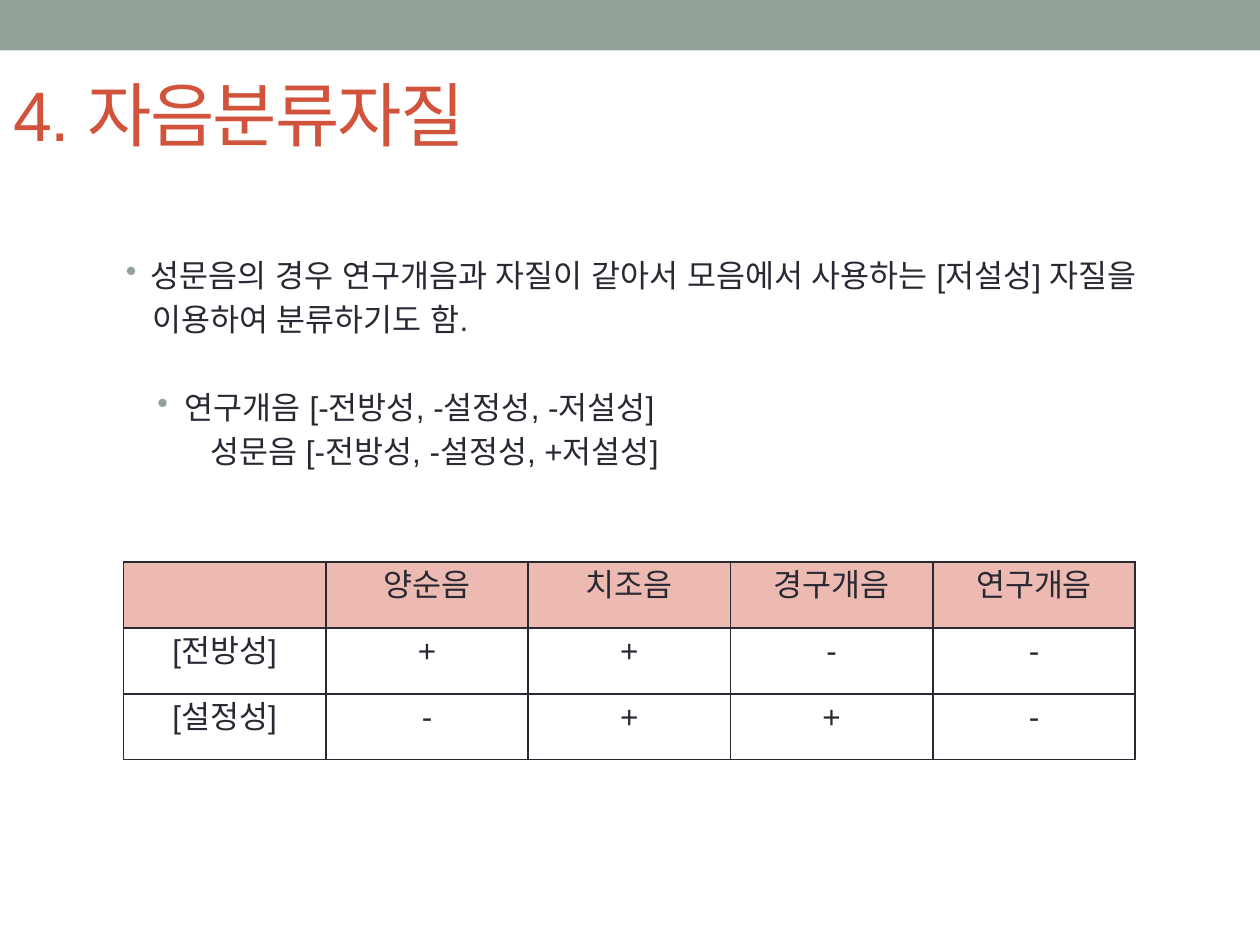
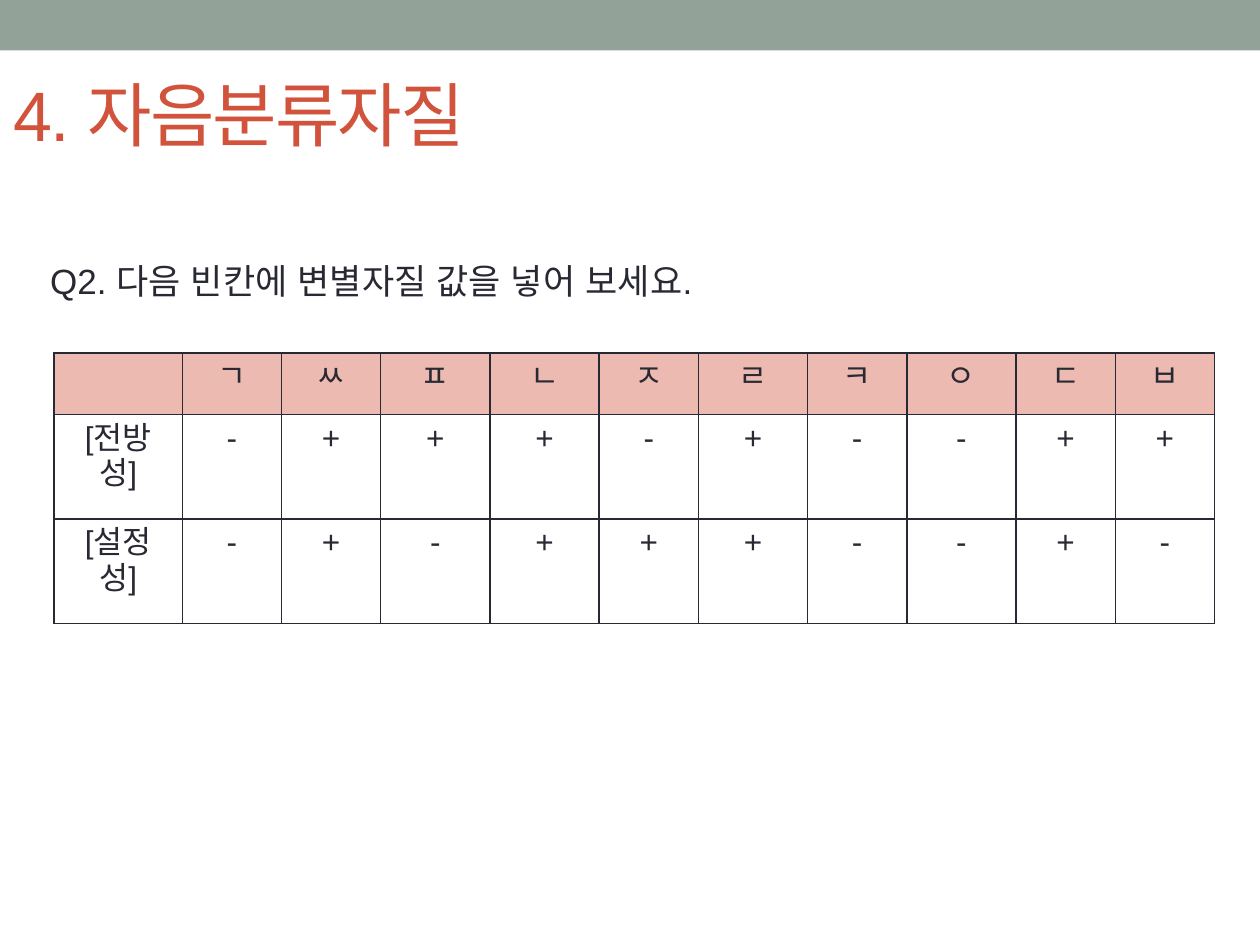
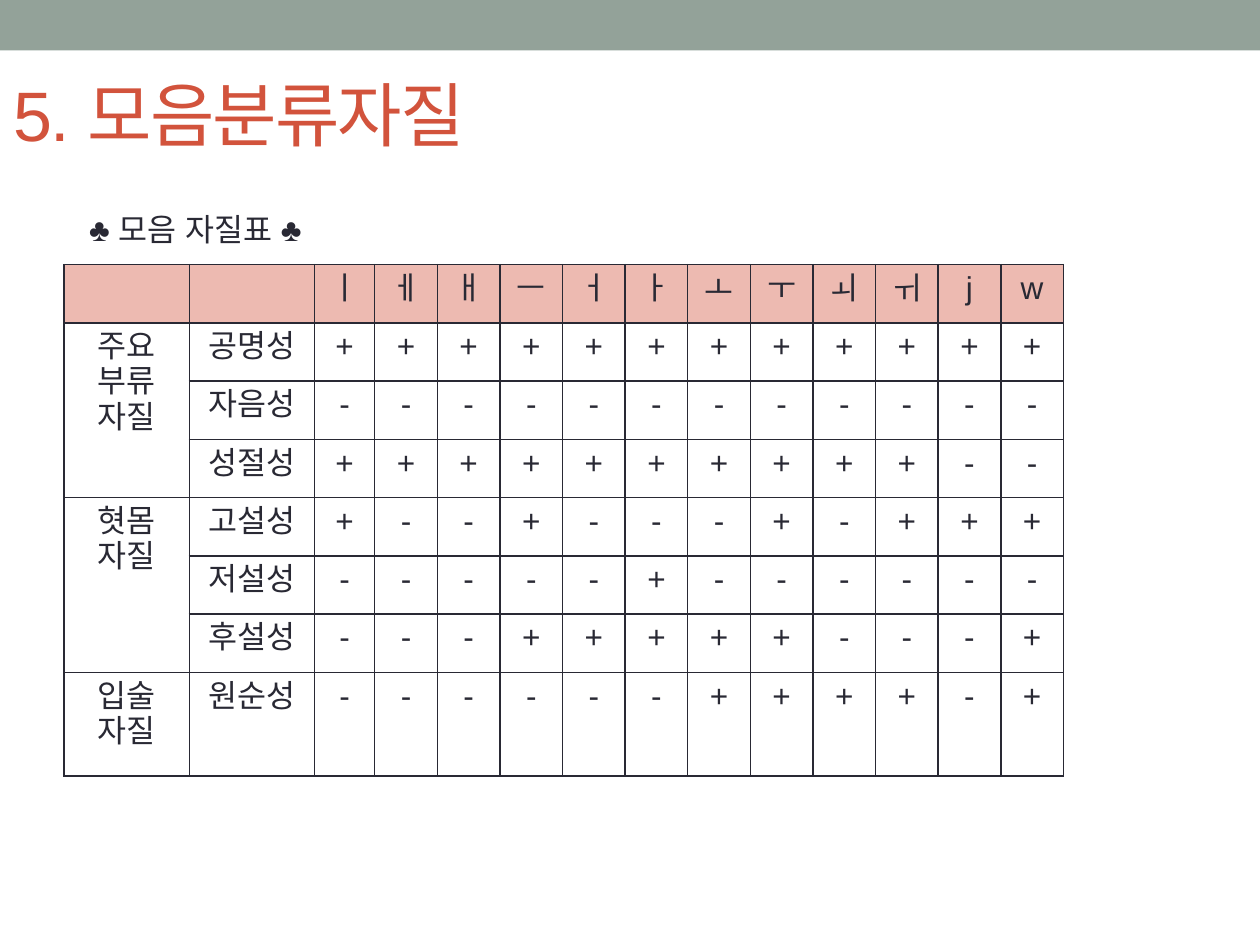
from lxml import etree
from pptx import Presentation
from pptx.dml.color import RGBColor
from pptx.enum.shapes import MSO_SHAPE
from pptx.enum.text import MSO_ANCHOR, PP_ALIGN
from pptx.oxml.ns import qn
from pptx.util import Inches, Pt

RECTANGLE = MSO_SHAPE.RECTANGLE
MIDDLE = MSO_ANCHOR.MIDDLE
TOP = MSO_ANCHOR.TOP
CENTER = PP_ALIGN.CENTER

GRID_COLUMNS, GRID_ROWS = 10, 7.5
GRID_UNIT = Inches(1)
FONT = "Arial"
INK, ACCENT, SAGE, HEADER = "292934", "D2533C", "93A299", "EDBAB1"
BODY_SIZE = 18
LINE_PITCH = 25.2


def grid(units):
    return int(units * GRID_UNIT)


def split(total, weights):
    return [grid(total * weight / sum(weights)) for weight in weights]


def colour(hex_code):
    return RGBColor.from_string(hex_code)


def style(paragraph, size, hex_code):
    font = paragraph.font
    font.name = FONT
    font.size = Pt(size)
    font.bold = False
    font.color.rgb = colour(hex_code)
    etree.SubElement(font._rPr, qn("a:ea"), typeface=FONT)


def add_hex(parent, tag, hex_code):
    holder = etree.SubElement(parent, qn(tag))
    etree.SubElement(holder, qn("a:srgbClr"), val=hex_code)


def add_frame(slide, left, top, width, height, anchor):
    frame = slide.shapes.add_textbox(*map(grid, (left, top, width, height))).text_frame
    frame.word_wrap = True
    frame.vertical_anchor = anchor
    return frame


def add_page(deck, heading):
    slide = deck.slides.add_slide(deck.slide_layouts[6])
    band = slide.shapes.add_shape(RECTANGLE, 0, 0, grid(GRID_COLUMNS), grid(0.4))
    band.shadow.inherit = False
    band.fill.solid()
    band.fill.fore_color.rgb = colour(SAGE)
    band.line.fill.background()

    title = add_frame(slide, 0.01, 0.36, 9, 1.08, MIDDLE).paragraphs[0]
    run = title.add_run()
    run.text = heading
    run._r.get_or_add_rPr().set("spc", "-100")
    style(title, 40, ACCENT)
    return slide


def indent(paragraph, margin, hanging):
    properties = paragraph._p.get_or_add_pPr()
    properties.set("marL", str(grid(margin)))
    properties.set("indent", str(-grid(hanging)))
    if hanging:
        add_hex(properties, "a:buClr", SAGE)
        etree.SubElement(properties, qn("a:buChar"), char="•")


def add_body(slide, offset, lines, size=BODY_SIZE):
    frame = add_frame(slide, 0, 1.62, GRID_COLUMNS, 5.75, TOP)
    frame.margin_top = grid(offset)
    for number, (text, margin, hanging, skipped) in enumerate(lines):
        paragraph = frame.add_paragraph() if number else frame.paragraphs[0]
        paragraph.text = text
        indent(paragraph, margin, hanging)
        paragraph.line_spacing = Pt(LINE_PITCH)
        paragraph.space_before = Pt(skipped * LINE_PITCH)
        style(paragraph, size, INK)


def add_borders(cell):
    properties = cell._tc.get_or_add_tcPr()
    for side in ("a:lnL", "a:lnR", "a:lnT", "a:lnB"):
        border = etree.SubElement(properties, qn(side), w=str(Pt(1)))
        add_hex(border, "a:solidFill", INK)


def fill_cell(cell, text, is_header):
    add_borders(cell)
    if is_header:
        cell.fill.solid()
        cell.fill.fore_color.rgb = colour(HEADER)
    else:
        cell.fill.background()
    cell.text_frame.text = text
    for paragraph in cell.text_frame.paragraphs:
        paragraph.alignment = CENTER
        style(paragraph, BODY_SIZE, INK)


def add_feature_table(slide, area, column_weights, row_weights, rows):
    left, top, width, height = area
    table = slide.shapes.add_table(
        len(rows), len(column_weights), *map(grid, area)).table
    table.first_row = False
    table.horz_banding = False
    for column, share in zip(table.columns, split(width, column_weights)):
        column.width = share
    for row, share in zip(table.rows, split(height, row_weights)):
        row.height = share
    for row_number, texts in enumerate(rows):
        for column_number, text in enumerate(texts):
            fill_cell(table.cell(row_number, column_number), text, row_number == 0)
    return table


def consonant_features(deck):
    slide = add_page(deck, "4. 자음분류자질")
    add_body(slide, 0.36, [
        ("성문음의 경우 연구개음과 자질이 같아서 모음에서 사용하는 [저설성] 자질을", 1.1, 0.2, 0),
        ("이용하여 분류하기도 함.", 1.11, 0, 0),
        ("연구개음 [-전방성, -설정성, -저설성]", 1.37, 0.22, 1),
        ("성문음 [-전방성, -설정성, +저설성]", 1.57, 0, 0),
    ])
    add_feature_table(slide, (0.98, 4.46, 8.03, 1.57), [1] * 5, [1] * 3, [
        ["", "양순음", "치조음", "경구개음", "연구개음"],
        ["[전방성]", *"++--"],
        ["[설정성]", *"-++-"],
    ])


def consonant_exercise(deck):
    slide = add_page(deck, "4. 자음분류자질")
    add_body(slide, 0.42, [("Q2. 다음 빈칸에 변별자질 값을 넣어 보세요.", 0.3, 0, 0)], 20)
    narrow, wide = 0.79, 0.87
    widths = [1.02, narrow, narrow, wide, wide, narrow, wide, narrow, wide, narrow, narrow]
    add_feature_table(slide, (0.43, 2.8, 9.21, 2.15), widths, [0.49, 0.83, 0.83], [
        ["", *"ㄱㅆㅍㄴㅈㄹㅋㅇㄷㅂ"],
        ["[전방성]", *"-+++-+--++"],
        ["[설정성]", *"-+-+++--+-"],
    ])


def vowel_features(deck):
    slide = add_page(deck, "5. 모음분류자질")
    add_body(slide, 0, [("♣ 모음 자질표 ♣", 0.61, 0, 0)])
    widths = [1, 1, 0.48] + [0.5] * 11
    heights = [0.46] * 7 + [0.82]
    table = add_feature_table(slide, (0.51, 2.1, 7.93, 4.06), widths, heights, [
        ["", "", *"ㅣㅔㅐㅡㅓㅏㅗㅜㅚㅟjw"],
        ["주요\n부류\n자질", "공명성", *"++++++++++++"],
        ["", "자음성", *"------------"],
        ["", "성절성", *"++++++++++--"],
        ["혓몸\n자질", "고설성", *"+--+---+-+++"],
        ["", "저설성", *"-----+------"],
        ["", "후설성", *"---+++++---+"],
        ["입술\n자질", "원순성", *"------++++-+"],
    ])
    for first_row in (1, 4):
        table.cell(first_row, 0).merge(table.cell(first_row + 2, 0))


def main():
    deck = Presentation()
    deck.slide_width = grid(GRID_COLUMNS)
    deck.slide_height = grid(GRID_ROWS)
    consonant_features(deck)
    consonant_exercise(deck)
    vowel_features(deck)
    deck.save("out.pptx")


main()
